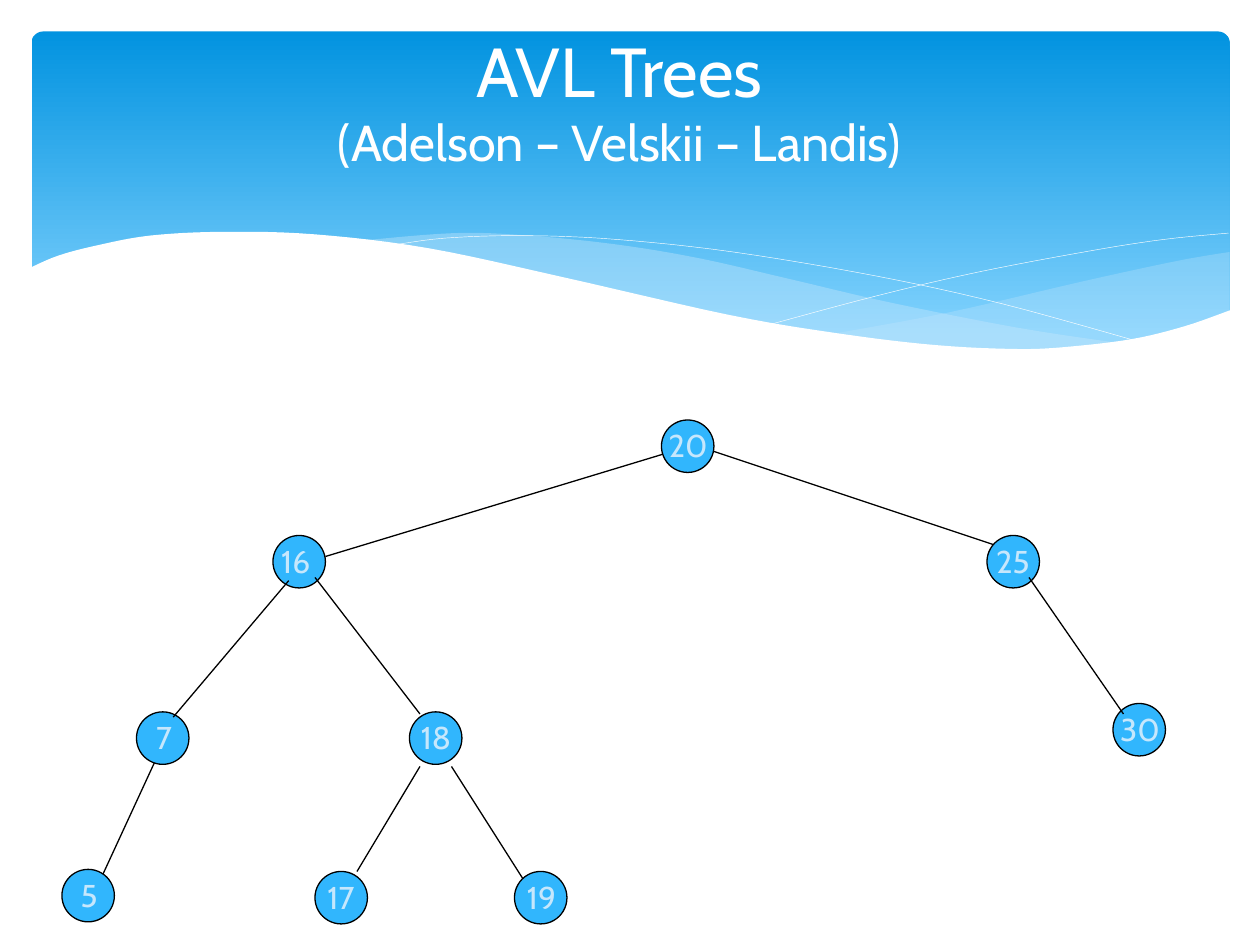
from dataclasses import dataclass

from lxml import etree
from pptx import Presentation
from pptx.dml.color import RGBColor
from pptx.enum.shapes import MSO_CONNECTOR, MSO_SHAPE
from pptx.enum.text import MSO_ANCHOR, PP_ALIGN
from pptx.oxml.ns import qn
from pptx.util import Inches, Pt

ROUND_RECT, OVAL = MSO_SHAPE.ROUNDED_RECTANGLE, MSO_SHAPE.OVAL
STRAIGHT = MSO_CONNECTOR.STRAIGHT
MIDDLE, TOP = MSO_ANCHOR.MIDDLE, MSO_ANCHOR.TOP
CENTER, LEFT = PP_ALIGN.CENTER, PP_ALIGN.LEFT


@dataclass(frozen=True)
class Theme:
    font: str = "Cabin"
    white: str = "FFFFFF"
    edge: str = "000000"
    node: str = "31B6FD"
    pale: str = "C6E7FC"
    banner_top: str = "0293E0"
    banner_end: str = "83D3FE"
    title: float = 39.6
    subtitle: float = 28.8
    label: float = 18
    line: float = 0.75
    hairline: float = 0.25


THEME = Theme()
NODE = 5  # node diameter in grid cells

# Nodes: value, column, row, label shift in columns
NODES = [
    ("20", 63, 40, -0.5), ("16", 26, 51, -0.4), ("25", 94, 51, -0.3),
    ("7", 13, 67.8, 0.7), ("18", 39, 67.8, -0.1), ("30", 106, 67, -0.5),
    ("5", 5.9, 82.8, 0.6), ("17", 30, 83, 0), ("19", 49, 83, 0),
]
# Edges: from column, row to column, row
EDGES_BEHIND = [(15, 72, 9, 85), (31, 53, 64, 43), (68, 43, 95, 52),
                (43, 73, 50, 84)]
EDGES_IN_FRONT = [(30, 55, 40, 68), (27.5, 55.3, 16.5, 68.3),
                  (40, 73, 34, 83), (98, 55, 107, 68)]

# Wave outlines: knots in inches, joined by smooth curves
RIGHT_BAND = [
    [(9.76, 2), (9.35, 2.07), (8.61, 2.23), (7.53, 2.48), (6.61, 2.65)],
    [(6.61, 2.65), (7.19, 2.72), (7.69, 2.77), (8.14, 2.78), (8.63, 2.75),
     (9.13, 2.67), (9.49, 2.57), (9.76, 2.47)],
]
LONG_BAND = [
    [(8.93, 2.73), (8.07, 2.6), (7.06, 2.4), (6.29, 2.22), (5.55, 2.05),
     (4.89, 1.94), (4.2, 1.87), (3.61, 1.85), (2.86, 1.91)],
    [(2.86, 1.91), (3.62, 2.03), (4.49, 2.22), (5.66, 2.48), (6.5, 2.64),
     (7.22, 2.74), (7.85, 2.78), (8.38, 2.78), (8.93, 2.73)],
]
FALLING_LINE = [(3.09, 1.95), (3.53, 1.89), (4.16, 1.87), (4.89, 1.9),
                (5.82, 2), (6.95, 2.19), (7.95, 2.41), (9.07, 2.72)]
RISING_LINE = [(6.13, 2.57), (6.95, 2.35), (7.76, 2.16), (8.66, 1.99),
               (9.24, 1.9), (9.75, 1.85)]
WHITE_WAVE = [
    [(9.77, 2.46), (9.4, 2.59), (8.99, 2.69), (8.5, 2.75), (8.09, 2.77),
     (7.44, 2.74), (6.68, 2.65), (5.79, 2.5), (4.47, 2.2), (3.4, 1.97),
     (2.5, 1.86), (1.77, 1.84), (1.19, 1.87), (0.76, 1.95), (0.46, 2.03),
     (0.23, 2.13)],
    [(0.23, 3.29)], [(9.77, 3.29)],
]


def grid(n):
    """Twelve grid cells to the inch: 120 columns by 90 rows."""
    return Inches(n / 12)


def rgb(value):
    return RGBColor.from_string(value)


def smooth(knots, steps=6):
    """Points of a Catmull-Rom curve through the knots."""
    padded = [knots[0], *knots, knots[-1]]
    points = [knots[0]]
    for a, b, c, d in zip(padded, padded[1:], padded[2:], padded[3:]):
        for i in range(1, steps + 1):
            t = i / steps
            points.append(tuple(
                (2 * q + (r - p) * t + (2 * p - 5 * q + 4 * r - s) * t ** 2
                 + (3 * q - p - 3 * r + s) * t ** 3) / 2
                for p, q, r, s in zip(a, b, c, d)))
    return points


def add_curve(slide, parts, close):
    points = [(Inches(x), Inches(y)) for part in parts for x, y in smooth(part)]
    fb = slide.shapes.build_freeform(*points[0])
    fb.add_line_segments(points[1:], close=close)
    sp = fb.convert_to_shape()
    sp.shadow.inherit = False
    return sp


def add_band(slide, parts, color, opacity=100):
    sp = add_curve(slide, parts, True)
    sp.fill.solid()
    sp.fill.fore_color.rgb = rgb(color)
    sp.line.fill.background()
    if opacity < 100:
        clr = sp._element.spPr.find(qn("a:solidFill"))[0]
        etree.SubElement(clr, qn("a:alpha")).set("val", str(opacity * 1000))


def add_hairline(slide, knots):
    sp = add_curve(slide, [knots], False)
    sp.fill.background()
    sp.line.color.rgb = rgb(THEME.white)
    sp.line.width = Pt(THEME.hairline)


def add_banner(slide):
    sp = slide.shapes.add_shape(ROUND_RECT, grid(3), grid(3),
                                Inches(9.51), Inches(2.7))
    sp.adjustments[0] = 0.034
    sp.shadow.inherit = False
    sp.line.fill.background()
    sp.fill.gradient()
    sp.fill.gradient_angle = 270
    colors = (THEME.banner_top, THEME.banner_end)
    for stop, color, at in zip(sp.fill.gradient_stops, colors, (0, 0.9)):
        stop.color.rgb = rgb(color)
        stop.position = at


def add_text(slide, box, lines, color, align=LEFT, anchor=TOP):
    """Text box whose lines are (text, size) pairs in one paragraph."""
    tf = slide.shapes.add_textbox(*map(grid, box)).text_frame
    tf.word_wrap = True
    tf.vertical_anchor = anchor
    p = tf.paragraphs[0]
    p.alignment = align
    for i, (text, size) in enumerate(lines):
        if i:
            p.add_line_break()
        r = p.add_run()
        r.text = text
        r.font.name, r.font.size = THEME.font, Pt(size)
        r.font.color.rgb = rgb(color)
    return tf


def add_edge(slide, ends):
    line = slide.shapes.add_connector(STRAIGHT, *map(grid, ends))
    line.line.color.rgb = rgb(THEME.edge)
    line.line.width = Pt(THEME.line)
    etree.SubElement(line._element.spPr, qn("a:effectLst"))


def add_node(slide, value, col, row, shift):
    sp = slide.shapes.add_shape(OVAL, *map(grid, (col, row, NODE, NODE)))
    sp.shadow.inherit = False
    sp.fill.solid()
    sp.fill.fore_color.rgb = rgb(THEME.node)
    sp.line.color.rgb = rgb(THEME.edge)
    sp.line.width = Pt(THEME.line)
    tf = add_text(slide, (col + shift, row, 6, 4.8),
                  [(value, THEME.label)], THEME.pale)
    tf.margin_right = 0  # room for two digits on one line


def main():
    prs = Presentation()
    prs.slide_width, prs.slide_height = grid(120), grid(90)
    slide = prs.slides.add_slide(prs.slide_layouts[6])

    # Banner with waves
    add_banner(slide)
    add_band(slide, RIGHT_BAND, THEME.pale, 29)
    add_band(slide, LONG_BAND, THEME.pale, 40)
    add_hairline(slide, FALLING_LINE)
    add_hairline(slide, RISING_LINE)
    add_band(slide, WHITE_WAVE, THEME.white)

    # Title
    add_text(slide, (8, 2, 102, 15),
             [("AVL Trees", THEME.title),
              ("(Adelson – Velskii – Landis)", THEME.subtitle)],
             THEME.white, CENTER, MIDDLE)

    # Tree
    for ends in EDGES_BEHIND:
        add_edge(slide, ends)
    for node in NODES:
        add_node(slide, *node)
    for ends in EDGES_IN_FRONT:
        add_edge(slide, ends)

    prs.save("out.pptx")


if __name__ == "__main__":
    main()
